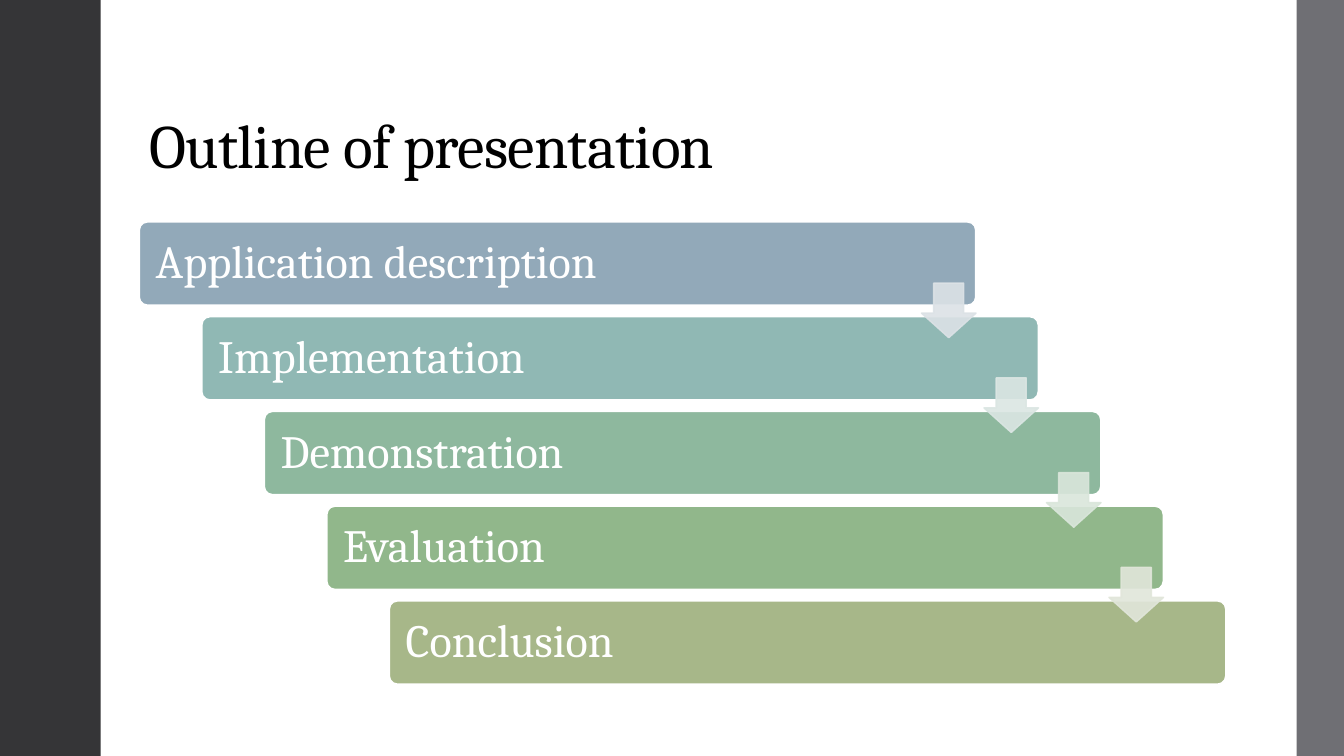
from lxml import etree
from pptx import Presentation
from pptx.dml.color import RGBColor
from pptx.enum.shapes import MSO_SHAPE
from pptx.enum.text import MSO_ANCHOR, MSO_AUTO_SIZE, PP_ALIGN
from pptx.oxml.ns import qn
from pptx.util import Inches, Pt

RECTANGLE, ROUNDED = MSO_SHAPE.RECTANGLE, MSO_SHAPE.ROUNDED_RECTANGLE
DOWN_ARROW = MSO_SHAPE.DOWN_ARROW
LEFT, MIDDLE, BOTTOM = PP_ALIGN.LEFT, MSO_ANCHOR.MIDDLE, MSO_ANCHOR.BOTTOM

# Content
TITLE = "Outline of presentation"
WHITE = RGBColor(0xFF, 0xFF, 0xFF)
BLACK = RGBColor(0x00, 0x00, 0x00)
DARK = RGBColor(0x35, 0x35, 0x37)
GREY = RGBColor(0x6F, 0x6F, 0x74)
FONT = "Cambria"

# Step name, bar colour, colour of the arrow to the next step
STEPS = [
    ("Application description", RGBColor(0x92, 0xA9, 0xB9), RGBColor(0xDC, 0xE2, 0xE6)),
    ("Implementation", RGBColor(0x90, 0xB8, 0xB4), RGBColor(0xDB, 0xE6, 0xE3)),
    ("Demonstration", RGBColor(0x8E, 0xB8, 0x9E), RGBColor(0xDA, 0xE6, 0xDB)),
    ("Evaluation", RGBColor(0x91, 0xB7, 0x8B), RGBColor(0xE1, 0xE6, 0xDA)),
    ("Conclusion", RGBColor(0xA7, 0xB7, 0x89), None),
]
SIDE_PANELS = [(0, 1, DARK), (12.86, 0.5, GREY)]  # left, width, colour

# Layout in inches
SLIDE_W, SLIDE_H = 13.33, 7.5
BAR_LEFT, BAR_TOP, BAR_W, BAR_H = 1.38, 2.2, 8.3, 0.83
STEP_X, STEP_Y = 0.62, 0.94
ARROW_LEFT, ARROW_TOP, ARROW_SIZE = 9.14, 2.81, 0.54


def add_block(slide, kind, left, top, width, height, colour):
    block = slide.shapes.add_shape(
        kind, Inches(left), Inches(top), Inches(width), Inches(height))
    block.shadow.inherit = False
    block.fill.solid()
    block.fill.fore_color.rgb = colour
    block.line.fill.background()
    return block


def outline(block, colour, width):
    block.line.color.rgb = colour
    block.line.width = Pt(width)


def add_step(slide, index, name, colour):
    bar = add_block(slide, ROUNDED, BAR_LEFT + index * STEP_X,
                    BAR_TOP + index * STEP_Y, BAR_W, BAR_H, colour)
    bar.adjustments[0] = 0.1
    outline(bar, WHITE, 1.35)
    frame = bar.text_frame
    frame.word_wrap = True
    frame.vertical_anchor = MIDDLE
    frame.margin_left = frame.margin_right = Inches(0.14)
    frame.margin_top = frame.margin_bottom = Inches(0.14)
    label = frame.paragraphs[0]
    label.text = name
    label.alignment = LEFT
    label.line_spacing = 0.9
    label.font.name = FONT
    label.font.size = Pt(33)
    label.font.color.rgb = WHITE


def add_arrow(slide, index, colour):
    arrow = add_block(slide, DOWN_ARROW, ARROW_LEFT + index * STEP_X,
                      ARROW_TOP + index * STEP_Y, ARROW_SIZE, ARROW_SIZE, colour)
    arrow.adjustments[0] = 0.55
    arrow.adjustments[1] = 0.45
    outline(arrow, colour, 1.1)
    # 90% opacity for both fill and line
    for tint in arrow._element.spPr.iter(qn("a:srgbClr")):
        etree.SubElement(tint, qn("a:alpha")).set("val", "90000")


def add_title(slide):
    title = slide.shapes.title
    title.left, title.top = Inches(1.38), Inches(0.4)
    title.width, title.height = Inches(10.78), Inches(1.45)
    frame = title.text_frame
    frame.text = TITLE
    frame.word_wrap = True
    frame.auto_size = MSO_AUTO_SIZE.NONE
    frame.vertical_anchor = BOTTOM
    heading = frame.paragraphs[0]
    heading.alignment = LEFT
    heading.line_spacing = 0.9
    heading.font.name = FONT
    heading.font.size = Pt(44)
    heading.font.color.rgb = BLACK
    # Slightly tightened letter spacing
    heading.runs[0]._r.get_or_add_rPr().set("spc", "-50")


def main():
    deck = Presentation()
    deck.slide_width, deck.slide_height = Inches(SLIDE_W), Inches(SLIDE_H)
    slide = deck.slides.add_slide(deck.slide_layouts[5])
    slide.background.fill.solid()
    slide.background.fill.fore_color.rgb = WHITE

    add_title(slide)
    for left, width, colour in SIDE_PANELS:
        add_block(slide, RECTANGLE, left, 0, width, SLIDE_H, colour)

    # Staircase of bars, then the arrows on top
    for index, (name, colour, _) in enumerate(STEPS):
        add_step(slide, index, name, colour)
    for index, (_, _, arrow_colour) in enumerate(STEPS[:-1]):
        add_arrow(slide, index, arrow_colour)

    deck.save("out.pptx")


if __name__ == "__main__":
    main()
